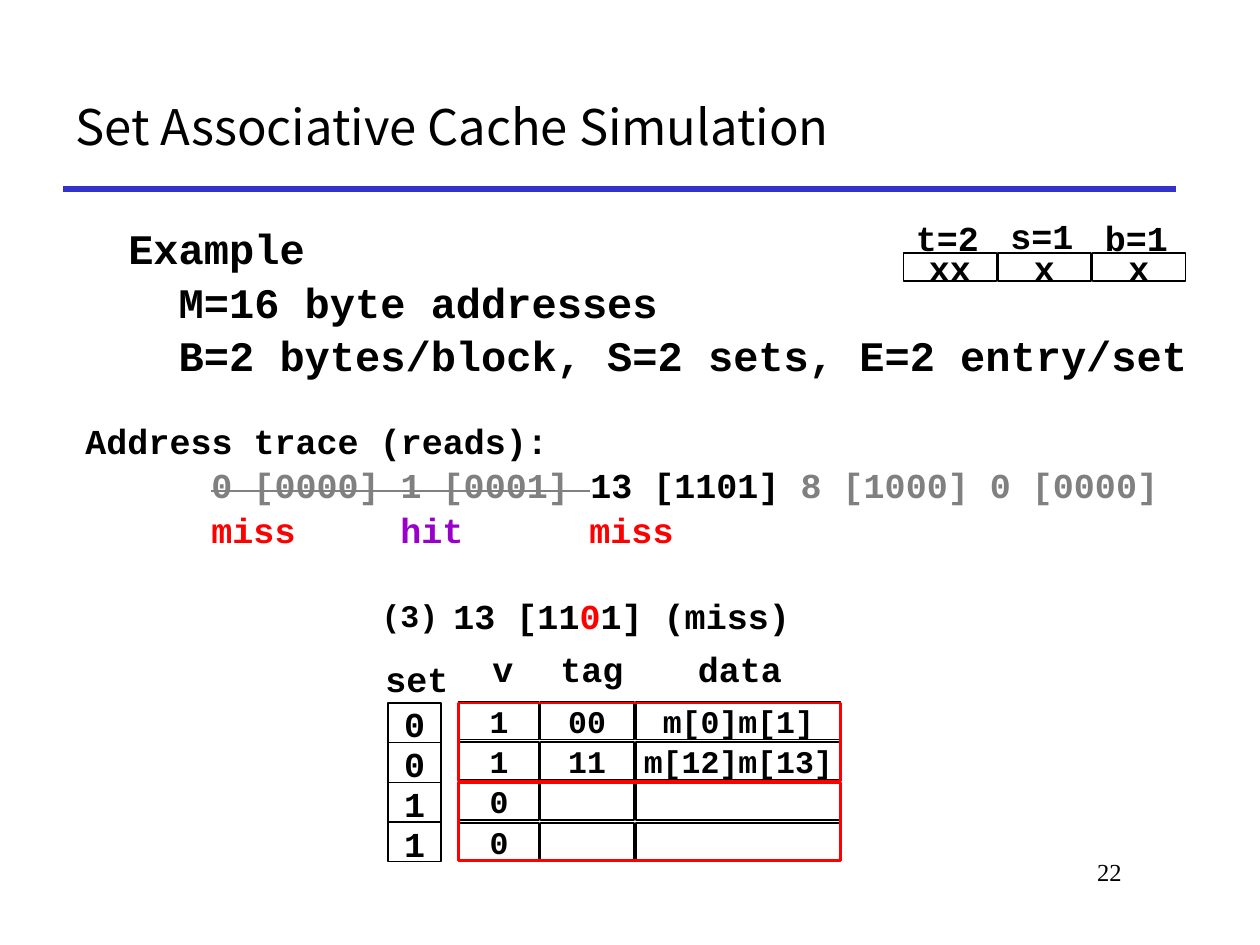
"""Build the set associative cache simulation slide."""
from lxml.etree import SubElement
from pptx import Presentation
from pptx.dml.color import RGBColor
from pptx.enum.shapes import MSO_CONNECTOR as CONN, MSO_SHAPE as SHAPE
from pptx.enum.text import MSO_ANCHOR as ANCHOR, PP_ALIGN as ALIGN
from pptx.oxml.ns import qn
from pptx.util import Inches, Pt

THEME = dict(
    code="Courier New", head="Noto Sans CJK KR", number="Times New Roman",
    black="000000", white="FFFFFF", gray="808080", red="FF0000",
    purple="9900CC", rule="3333CC",
    title=28, body=24, text=20, cell=18, page=14,
)
TITLE = "Set Associative Cache Simulation"
EXAMPLE = ["Example", "M=16 byte addresses",
           "B=2 bytes/block, S=2 sets, E=2 entry/set"]
TRACE = [
    ["Address trace (reads):"],
    ["\t", ("0 [0000] 1 [0001] ", "gray", "sngStrike"), "13 [1101] ",
     ("8 [1000] 0 [0000]", "gray")],
    [("\tmiss", "red"), ("\thit", "purple"), ("\tmiss", "red")],
]
TRACE_TABS = [1, 2.5, 4]
STEP = ["13 [11", ("0", "red"), "1] (miss)"]
FIELDS = [("t=2", "xx", 1.67), ("s=1", "x", 1.65), ("b=1", "x", 1.67)]
FIELD_LEFT, FIELD_TOP, FIELD_PITCH, FIELD_W, FIELD_H = 7.17, 2.01, 0.75, 0.74, 0.22
COLUMNS = [("v", 3.64, 0.64, 3.81), ("tag", 4.29, 0.74, 4.35), ("data", 5.05, 1.62, 5.44)]
ROWS = [("0", ["1", "00", "m[0]m[1]"]), ("0", ["1", "11", "m[12]m[13]"]),
        ("1", ["0", "", ""]), ("1", ["0", "", ""])]
GRID_TOP, ROW_PITCH, CELL_H = 5.57, 0.32, 0.3
SET_LEFT, SET_W, SET_TOP, SET_PITCH = 3.08, 0.42, 5.58, 0.315

prs = Presentation()
prs.slide_width, prs.slide_height = Inches(10), Inches(7.5)
s = prs.slides.add_slide(prs.slide_layouts[6])


def color(name):
    return RGBColor.from_string(THEME[name])


def write(sp, lines, size="text", font="code", bold=True, align=ALIGN.LEFT,
          anchor=ANCHOR.TOP, wrap=False, gap=0, top=0.05):
    tf = sp.text_frame
    frame = dict(word_wrap=wrap, vertical_anchor=anchor, margin_left=Inches(0.1),
                 margin_right=Inches(0.1), margin_top=Inches(top),
                 margin_bottom=Inches(0.05))
    for key, value in frame.items():
        setattr(tf, key, value)
    for i, line in enumerate(lines):
        p = tf.add_paragraph() if i else tf.paragraphs[0]
        p.alignment, p.space_before = align, Pt(gap)
        for part in [line] if isinstance(line, str) else line:
            text, tint, strike = ((part,) if isinstance(part, str) else part) + (
                "black", "noStrike")[(0 if isinstance(part, str) else len(part) - 1):]
            r = p.add_run()
            r.text = text
            for key, value in dict(name=THEME[font], size=Pt(THEME[size]), bold=bold).items():
                setattr(r.font, key, value)
            r.font.color.rgb = color(tint)
            if strike != "noStrike":
                r.font._element.set("strike", strike)
    return tf


def label(box, lines, **style):
    return write(s.shapes.add_textbox(*map(Inches, box)), lines, **style)


def rect(box, text="", size="cell", line="black", width=1, fill="white"):
    sp = s.shapes.add_shape(SHAPE.RECTANGLE, *map(Inches, box))
    sp.shadow.inherit = False
    if fill:
        sp.fill.solid()
        sp.fill.fore_color.rgb = color(fill)
    else:
        sp.fill.background()
    sp.line.color.rgb, sp.line.width = color(line), Pt(width)
    if text:
        write(sp, [text], size=size, align=ALIGN.CENTER, anchor=ANCHOR.MIDDLE)


def rule(left, right, y, tint, width):
    c = s.shapes.add_connector(CONN.STRAIGHT, *map(Inches, (left, y, right, y)))
    c.line.color.rgb, c.line.width = color(tint), Pt(width)
    SubElement(c._element.spPr, qn("a:effectLst"))


rule(0.5, 9.33, 1.5, "rule", 3)
label((7.58, 6.75, 1.42, 0.5), ["22"], size="page", font="number", bold=False,
      align=ALIGN.RIGHT, wrap=True)
label((0.5, 0.5, 8.83, 1), [TITLE], size="title", font="head", bold=False,
      anchor=ANCHOR.MIDDLE, wrap=True)

example = label((0.92, 1.67, 8.67, 1.33), EXAMPLE, size="body", wrap=True, gap=1.6, top=0.1)
for p in example.paragraphs[1:]:
    p._p.get_or_add_pPr().set("marL", str(Inches(0.4)))

trace = label((0.58, 3.25, 9.08, 1.11), TRACE, wrap=True, gap=1.3, top=0.08)
for p in trace.paragraphs[1:]:
    tabs = SubElement(p._p.get_or_add_pPr(), qn("a:tabLst"))
    for stop in TRACE_TABS:
        SubElement(tabs, qn("a:tab"), pos=str(Inches(stop)), algn="l")

for i, (name, bits, top) in enumerate(FIELDS):
    left = FIELD_LEFT + i * FIELD_PITCH
    rect((left, FIELD_TOP, FIELD_W, FIELD_H), bits, size="text")
    label((left, top, 0.7, 0.43), [name])

label((2.93, 4.68, 0.65, 0.4), ["(3)"], size="cell")
label((3.5, 4.67, 2.89, 0.43), [STEP])
label((2.96, 5.17, 0.71, 0.44), ["set"])
for name, left, width, name_left in COLUMNS:
    label((name_left, 5.09, 0.2 + len(name) / 6, 0.43), [name])

rect((SET_LEFT, SET_TOP, SET_W, SET_PITCH * len(ROWS)), width=0.75, fill=None)
for i, (index, values) in enumerate(ROWS):
    for (name, left, width, name_left), value in zip(COLUMNS, values):
        rect((left, GRID_TOP + i * ROW_PITCH, width, CELL_H), value)
    if i:
        rule(SET_LEFT, SET_LEFT + SET_W, SET_TOP + i * SET_PITCH, "black", 0.75)
    label((3.11, 5.53 + i * SET_PITCH, 0.37, 0.43), [index])

for i in range(2):
    rect((3.64, 5.58 + i * 0.63, 3.03, 0.62), line="red", width=1.5, fill=None)

prs.save("out.pptx")
